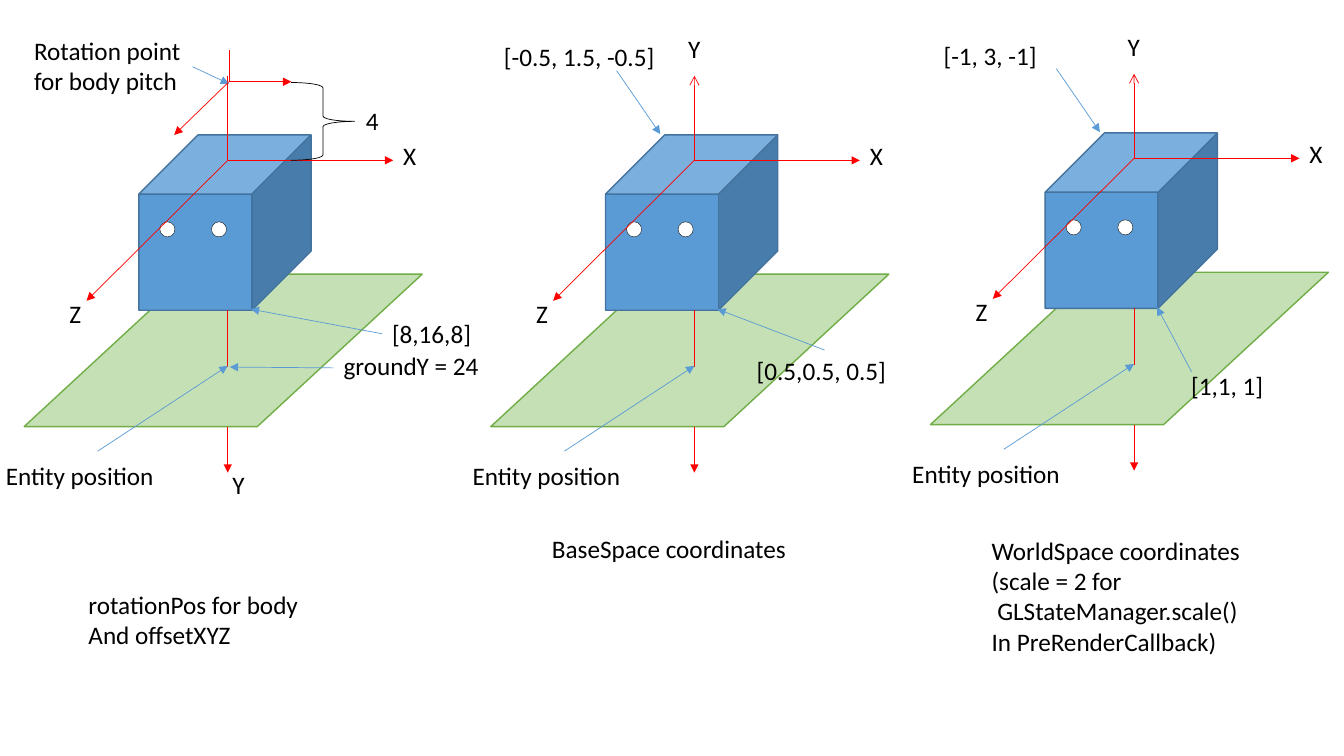
from dataclasses import dataclass
from typing import Optional

from lxml import etree
from pptx import Presentation
from pptx import util as u
from pptx.dml.color import RGBColor
from pptx.enum import shapes, text
from pptx.oxml.ns import qn

MSO = shapes.MSO_SHAPE


@dataclass(frozen=True)
class Theme:
    font: str = "Calibri"
    size: float = 18
    ink: str = "000000"
    white: str = "FFFFFF"
    ground: str = "C5E0B4"
    ground_edge: str = "70AD47"
    cube: str = "5B9BD5"
    cube_edge: str = "43739E"
    axis: str = "FF0000"
    pointer: str = "5B9BD5"
    edge_width: float = 1
    thin: float = 0.5
    hairline: float = 0.25


@dataclass(frozen=True)
class Line:
    x1: float
    y1: float
    x2: float
    y2: float
    head: Optional[str] = "triangle"
    color: str = Theme.axis


@dataclass(frozen=True)
class Label:
    text: str
    x: float
    y: float
    w: float = 0.82
    h: float = 1.02


@dataclass(frozen=True)
class Panel:
    x: float
    y: float
    up_head: Optional[str]
    y_label: Label
    labels: tuple[Label, ...]
    pointers: tuple[tuple[float, float, float, float], ...]


THEME = Theme()
CORNER = (0.58, 3.75)
TOP_POINTER = (-1.96, -2.26, -0.86, -0.66)
Y_ABOVE = Label("Y", -0.41, -3.33)
EYES_X = (-1.71, -0.41)

PANELS = (
    Panel(5.74, 4.04, None, Label("Y", -0.13, 7.65), (
        Label("rotationPos for body\nAnd offsetXYZ", -3.76, 10.69, 5.87, 1.8),
        Label("Rotation point\nfor body pitch", -5.13, -3.28, 4.24, 1.8),
        Label("groundY = 24", 2.67, 4.67, 3.94),
        Label("[8,16,8]", 3.89, 3.86, 2.51),
        Label("4", 3.23, -1.5),
    ), (
        (-0.89, -2.36, 0.03, -1.93),
        (2.67, 5.23, 0.05, 5.21),
        (3.89, 4.37, *CORNER),
    )),
    Panel(17.5, 4.04, "arrow", Y_ABOVE, (
        Label("BaseSpace coordinates", -3.84, 9.27, 6.48),
        Label("[-0.5, 1.5, -0.5]", -5.05, -3.12, 4.34),
        Label("[0.5,0.5, 0.5]", 1.32, 4.8, 3.81),
    ), (TOP_POINTER, (3.28, 4.78, *CORNER))),
    Panel(28.58, 3.99, "arrow", Y_ABOVE, (
        Label("WorldSpace coordinates\n(scale = 2 for\n GLStateManager.scale()\n"
              "In PreRenderCallback)", -3.84, 9.37, 6.83, 4.11),
        Label("[-1, 3, -1]", -5.05, -3.1, 2.9),
        Label("[1,1, 1]", 1.19, 5.21, 2.34),
    ), (TOP_POINTER, (1.45, 5.38, *CORNER))),
)

PITCH_AXES = (
    Line(0.03, -1.98, -1.35, -0.64),
    Line(0.03, -1.98, 0.03, -2.79, None),
    Line(0.03, -1.98, 1.6, -1.98),
)


def add_shape(parent, panel: Panel, kind, x: float, y: float, w: float, h: float,
              fill: Optional[str], edge: str, width: float, adj: Optional[float] = None):
    sp = parent.add_shape(kind, u.Cm(panel.x + x), u.Cm(panel.y + y), u.Cm(w), u.Cm(h))
    sp.shadow.inherit = False
    if fill:
        sp.fill.solid()
        sp.fill.fore_color.rgb = RGBColor.from_string(fill)
    else:
        sp.fill.background()
    sp.line.color.rgb = RGBColor.from_string(edge)
    sp.line.width = u.Pt(width)
    if adj is not None:
        sp.adjustments[0] = adj


def add_line(parent, panel: Panel, line: Line) -> None:
    cx = parent.add_connector(
        shapes.MSO_CONNECTOR.STRAIGHT,
        u.Cm(panel.x + line.x1), u.Cm(panel.y + line.y1),
        u.Cm(panel.x + line.x2), u.Cm(panel.y + line.y2))
    cx.line.color.rgb = RGBColor.from_string(line.color)
    cx.line.width = u.Pt(THEME.thin)
    if line.head:
        etree.SubElement(cx.line._get_or_add_ln(), qn("a:tailEnd"), type=line.head)
    etree.SubElement(cx._element.spPr, qn("a:effectLst"))


def add_label(parent, panel: Panel, label: Label) -> None:
    sp = parent.add_textbox(u.Cm(panel.x + label.x), u.Cm(panel.y + label.y),
                            u.Cm(label.w), u.Cm(label.h))
    tf = sp.text_frame
    tf.text = label.text
    tf.word_wrap = False
    tf.auto_size = text.MSO_AUTO_SIZE.SHAPE_TO_FIT_TEXT
    for p in tf.paragraphs:
        for r in p.runs:
            r.font.name = THEME.font
            r.font.size = u.Pt(THEME.size)
            r.font.color.rgb = RGBColor.from_string(THEME.ink)


def add_body(parent, panel: Panel) -> None:
    add_shape(parent, panel, MSO.CUBE, -2.24, -0.64, 4.34, 4.42,
              THEME.cube, THEME.cube_edge, THEME.edge_width, 0.344)
    for x in EYES_X:
        add_shape(parent, panel, MSO.OVAL, x, 1.55, 0.38, 0.38,
                  THEME.white, THEME.ink, THEME.hairline)


def add_axes(parent, panel: Panel) -> None:
    for line in (
        Line(0, 6.71, 0, 7.87),
        Line(0, 0, -3.56, 3.54),
        Line(0, 0, 0, -2.13, panel.up_head),
        Line(0, 0, 4.17, 0),
    ):
        add_line(parent, panel, line)
    for label in (panel.y_label, Label("Z", -4.24, 3.35), Label("X", 4.17, -0.64)):
        add_label(parent, panel, label)


def add_panel(s, panel: Panel) -> None:
    add_shape(s.shapes, panel, MSO.PARALLELOGRAM, -5.13, 2.87, 10.03, 3.84,
              THEME.ground, THEME.ground_edge, THEME.edge_width, 1.082)
    add_body(s.shapes.add_group_shape().shapes, panel)
    add_axes(s.shapes.add_group_shape().shapes, panel)
    add_line(s.shapes, panel, Line(0, 3.76, 0, 5.21, None))
    for label in (*panel.labels, Label("Entity position", -5.84, 7.43, 4.27)):
        add_label(s.shapes, panel, label)
    for ends in (*panel.pointers, (-3.28, 7.33, 0, 5.18)):
        add_line(s.shapes, panel, Line(*ends, color=THEME.pointer))


def main() -> None:
    prs = Presentation()
    prs.slide_width, prs.slide_height = u.Cm(33.87), u.Cm(19.05)
    s = prs.slides.add_slide(prs.slide_layouts[6])
    for panel in PANELS:
        add_panel(s, panel)
    pitch = PANELS[0]
    for line in PITCH_AXES:
        add_line(s.shapes, pitch, line)
    add_shape(s.shapes, pitch, MSO.RIGHT_BRACE, 1.6, -1.96, 1.6, 1.96,
              None, THEME.ink, THEME.thin)
    prs.save("out.pptx")


if __name__ == "__main__":
    main()
